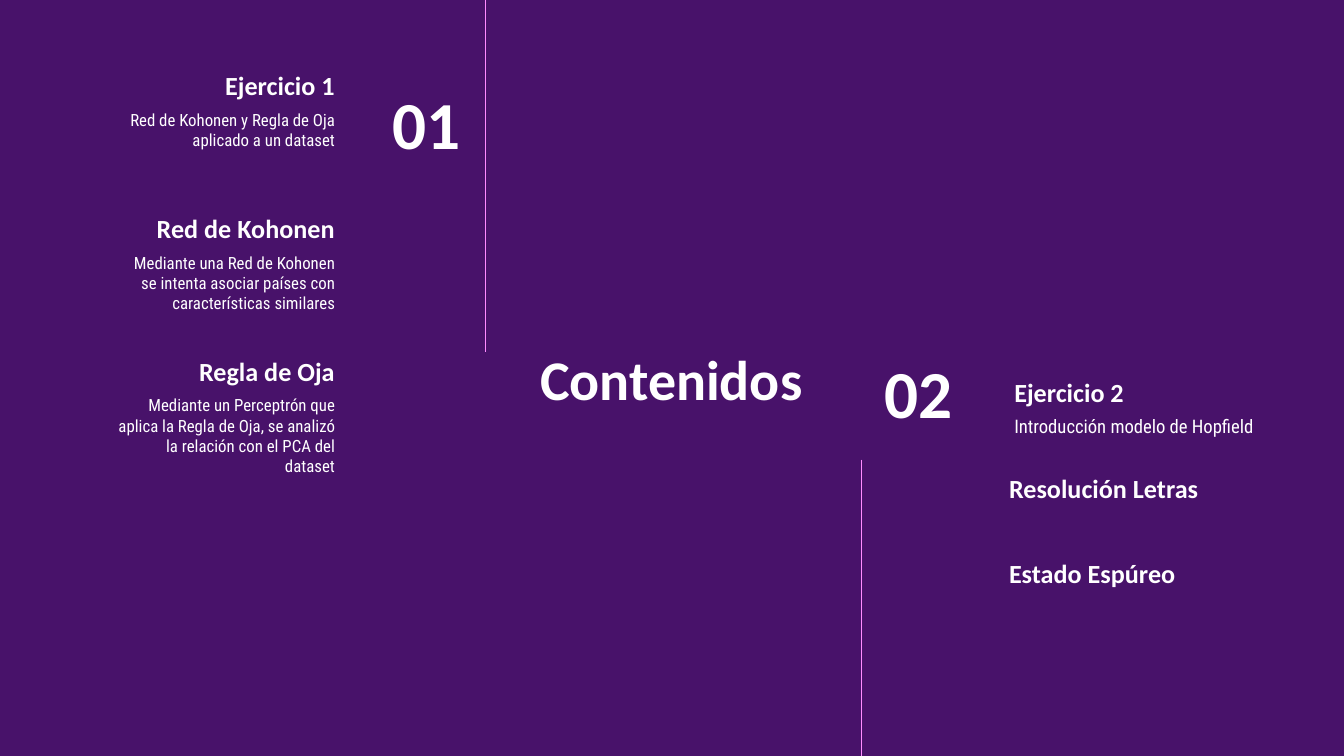
from pptx import Presentation
from pptx.dml.color import RGBColor
from pptx.enum.shapes import MSO_CONNECTOR
from pptx.enum.text import MSO_ANCHOR, MSO_AUTO_SIZE, PP_ALIGN
from pptx.oxml.ns import qn
from pptx.util import Cm, Pt
from lxml import etree

WHITE = "FFFFFF"
PINK = "FF8CFF"
PURPLE = "48126A"
HEADING = "Calibri"
BODY = "Roboto Condensed"
WIDTH, HEIGHT = 25.4, 14.29
ROW_H = 1.6
HEAD_W = 5.49


def rgb(value):
    return RGBColor.from_string(value)


def write(sp, text, size, font=HEADING, align=PP_ALIGN.LEFT, anchor=MSO_ANCHOR.MIDDLE):
    tf = sp.text_frame
    tf.text = text
    tf.word_wrap = True
    tf.auto_size = MSO_AUTO_SIZE.NONE
    tf.vertical_anchor = anchor
    tf.margin_left = tf.margin_right = tf.margin_top = tf.margin_bottom = Cm(0.25)
    p = tf.paragraphs[0]
    p.alignment = align
    r = p.runs[0]
    r.font.name = font
    r.font.size = Pt(size)
    r.font.bold = font == HEADING
    r.font.color.rgb = rgb(WHITE)


def add_title(s, text, x, y, w, h):
    sp = s.shapes.title
    sp.left, sp.top, sp.width, sp.height = Cm(x), Cm(y), Cm(w), Cm(h)
    write(sp, text, 30, align=PP_ALIGN.CENTER)


def add_text(s, text, x, y, w, size, **style):
    sp = s.shapes.add_textbox(Cm(x), Cm(y), Cm(w), Cm(ROW_H))
    write(sp, text, size, **style)


def add_heading(s, text, x, y, align=PP_ALIGN.LEFT):
    add_text(s, text, x, y, HEAD_W, 14, align=align, anchor=MSO_ANCHOR.BOTTOM)


def add_description(s, text, x, y, w, size, align=PP_ALIGN.LEFT):
    add_text(s, text, x, y, w, size, font=BODY, align=align, anchor=MSO_ANCHOR.TOP)


def add_divider(s, x, top, bottom):
    line = s.shapes.add_connector(MSO_CONNECTOR.STRAIGHT, Cm(x), Cm(top), Cm(x), Cm(bottom))
    line.line.color.rgb = rgb(PINK)
    line.line.width = Pt(0.75)
    etree.SubElement(line._element.spPr, qn("a:effectLst"))


def main():
    prs = Presentation()
    prs.slide_width, prs.slide_height = Cm(WIDTH), Cm(HEIGHT)
    s = prs.slides.add_slide(prs.slide_layouts[5])
    s.background.fill.solid()
    s.background.fill.fore_color.rgb = rgb(PURPLE)

    add_title(s, "Contenidos", 9.4, 5.84, 6.58, 2.62)

    first_exercise = [
        ("Ejercicio 1", "Red de Kohonen y Regla de Oja aplicado a un dataset"),
        ("Red de Kohonen", "Mediante una Red de Kohonen se intenta asociar países con características similares"),
        ("Regla de Oja", "Mediante un Perceptrón que aplica la Regla de Oja, se analizó la relación con el PCA del dataset"),
    ]
    for i, (heading, description) in enumerate(first_exercise):
        y = 0.56 + 2.7 * i
        add_heading(s, heading, 1.09, y, PP_ALIGN.RIGHT)
        add_description(s, description, 1.93, y + 1.26, 4.65, 9, PP_ALIGN.RIGHT)

    add_text(s, "01", 5.89, 1.52, 3.07, 36, align=PP_ALIGN.RIGHT)
    add_text(s, "02", 16.46, 6.6, 2.97, 36)
    add_divider(s, 9.17, 0, 6.65)
    add_divider(s, 16.28, 8.69, HEIGHT)

    add_heading(s, "Ejercicio 2", 18.92, 6.35)
    add_description(s, "Introducción modelo de Hopfield", 18.92, 7.6, HEAD_W, 10)
    for i, heading in enumerate(["Resolución Letras", "Estado Espúreo"]):
        add_heading(s, heading, 18.82, 8.18 + 1.6 * i)

    prs.save("out.pptx")


if __name__ == "__main__":
    main()
